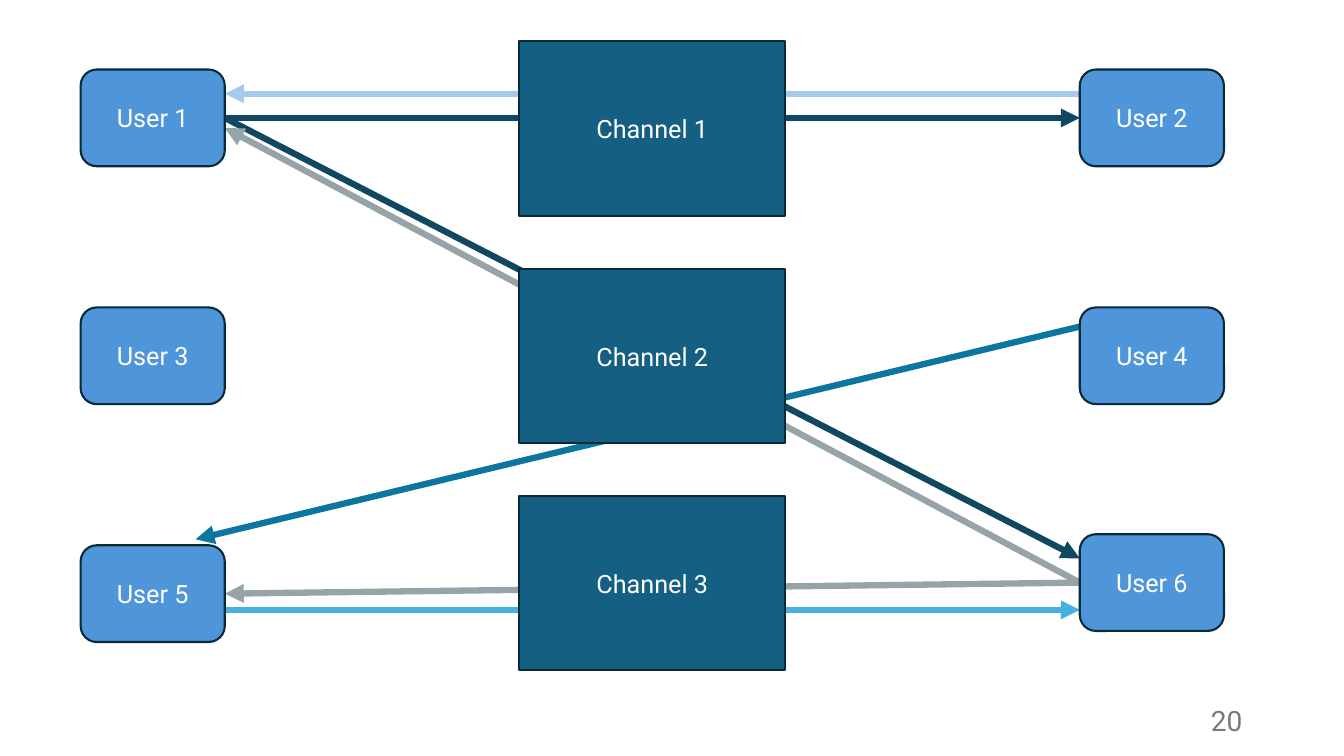
"""Build a slide of six users linked through three channels."""
from lxml import etree
from pptx import Presentation
from pptx.dml.color import RGBColor
from pptx.enum.shapes import MSO_CONNECTOR, MSO_SHAPE
from pptx.enum.text import MSO_ANCHOR, PP_ALIGN
from pptx.oxml.ns import qn
from pptx.util import Inches, Pt

RECT, ROUND = MSO_SHAPE.RECTANGLE, MSO_SHAPE.ROUNDED_RECTANGLE
LINE = MSO_CONNECTOR.STRAIGHT
MIDDLE = MSO_ANCHOR.MIDDLE
CENTER, RIGHT = PP_ALIGN.CENTER, PP_ALIGN.RIGHT
COLORS = {
    "channel": "156082", "user": "4E95D9", "edge": "092A39",
    "white": "FFFFFF", "number": "797979", "navy": "104862",
    "teal": "0B76A0", "sky": "46B1E1", "pale": "A6CAEC", "gray": "96A4A8",
}
FONT = "Roboto"


def color(name):
    return RGBColor.from_string(COLORS[name])


def write(shape, text, size, tint, align):
    frame = shape.text_frame
    frame.word_wrap = True
    frame.vertical_anchor = MIDDLE
    para = frame.paragraphs[0]
    para.alignment = align
    run = para.add_run()
    run.text = text
    run.font.name = FONT
    run.font.size = Pt(size)
    run.font.color.rgb = color(tint)


deck = Presentation()
deck.slide_width, deck.slide_height = Inches(13.33), Inches(7.5)
slide = deck.slides.add_slide(deck.slide_layouts[6])
shapes = slide.shapes

left, wide, high = 0.8, 1.43, 0.96
near, far = left + wide, 10.71

arrows = [
    (near, 1.17, far, 5.54, "navy"),
    (far, 3.24, 1.94, 5.35, "teal"),
    (near, 6.05, far, 6.05, "sky"),
    (near, 1.17, far, 1.17, "navy"),
    (far, 0.93, near, 0.93, "pale"),
    (far, 5.78, near, 5.89, "gray"),
    (far, 5.78, near, 1.27, "gray"),
]
for x1, y1, x2, y2, tint in arrows:
    arrow = shapes.add_connector(
        LINE, Inches(x1), Inches(y1), Inches(x2), Inches(y2))
    arrow.line.color.rgb = color(tint)
    arrow.line.width = Pt(4.5)
    tail = etree.SubElement(arrow.line._get_or_add_ln(), qn("a:tailEnd"))
    tail.set("type", "triangle")
    etree.SubElement(arrow._element.spPr, qn("a:effectLst"))

number = shapes.add_textbox(Inches(9.42), Inches(6.95), Inches(3), Inches(0.4))
write(number, "20", 20, "number", RIGHT)

boxes = [
    (f"Channel {i}", RECT, "channel", 5.15, top, 2.64, 1.73)
    for i, top in enumerate((0.41, 2.67, 4.92), 1)
]
boxes += [
    (f"User {i}", ROUND, "user", far if i % 2 == 0 else left, top, wide, high)
    for i, top in enumerate((0.69, 0.69, 3.05, 3.05, 5.41, 5.3), 1)
]
for label, kind, fill, x, y, w, h in boxes:
    box = shapes.add_shape(kind, Inches(x), Inches(y), Inches(w), Inches(h))
    box.shadow.inherit = False
    box.fill.solid()
    box.fill.fore_color.rgb = color(fill)
    box.line.color.rgb = color("edge")
    box.line.width = Pt(1.5)
    write(box, label, 18, "white", CENTER)

deck.save("out.pptx")
